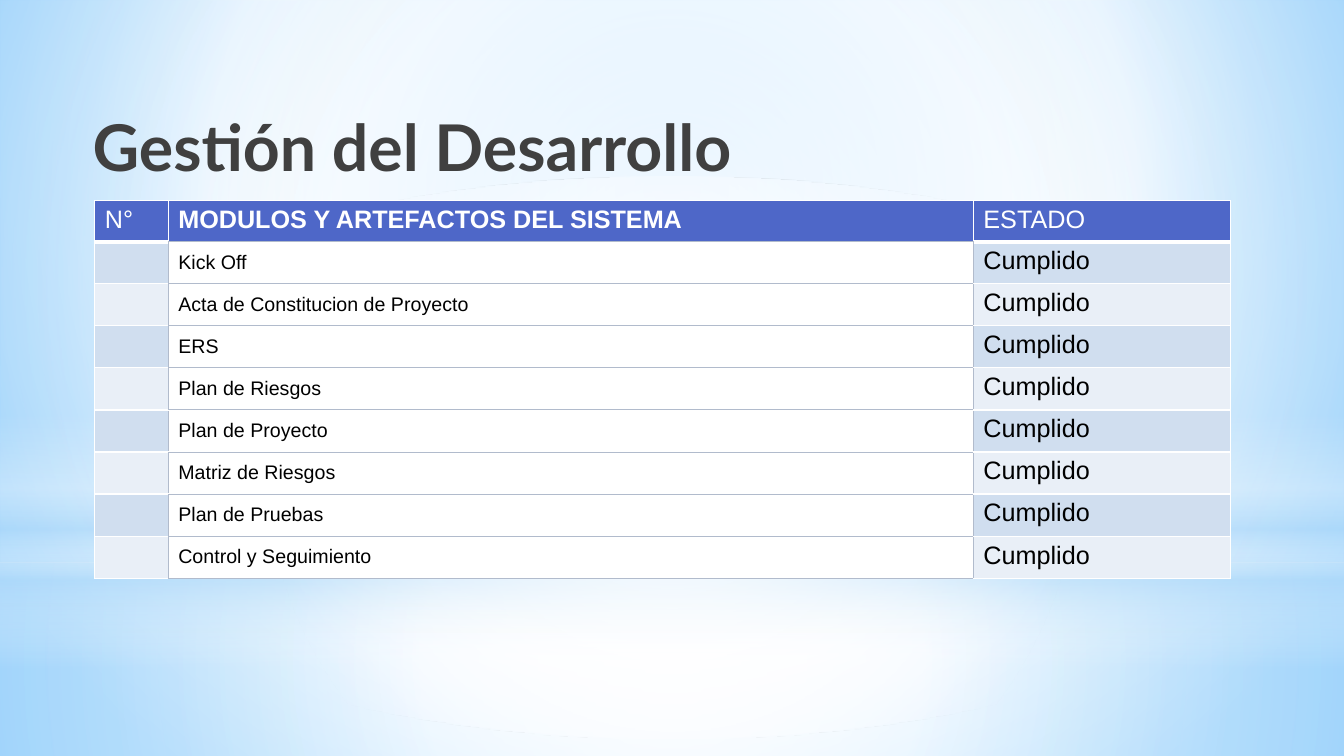
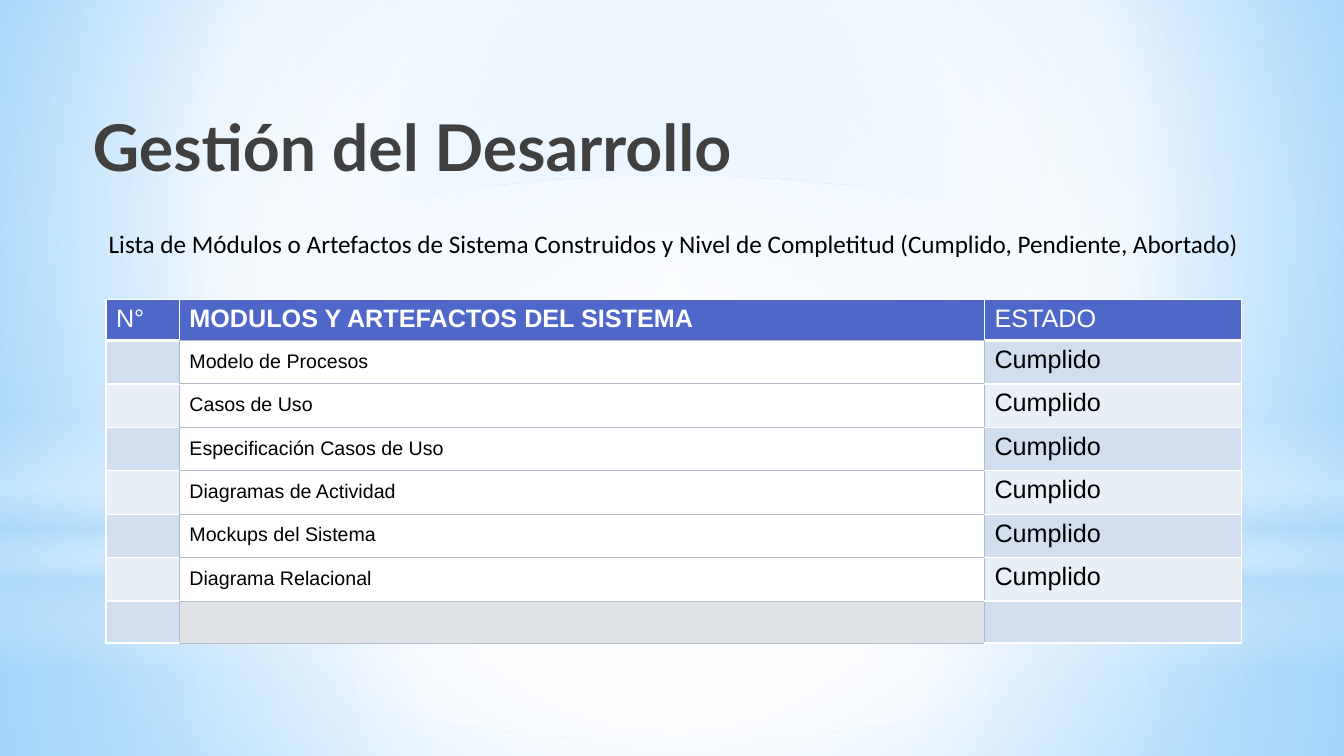
from pptx import Presentation
from pptx.dml.color import RGBColor
from pptx.enum.shapes import MSO_SHAPE as Preset
from pptx.enum.text import MSO_ANCHOR as Anchor, MSO_AUTO_SIZE as AutoSize, PP_ALIGN as Align
from pptx.oxml import parse_xml
from pptx.oxml.ns import nsdecls, qn
from pptx.util import Cm, Pt

WHITE, BLACK, TITLE_GRAY = "FFFFFF", "000000", "404040"
HEADER_BLUE, EMPTY_GRAY, RULE_GRAY = "4E67C8", "DFE3E8", "B1BBCC"
BANDS = ["D0DEEF", "E9EFF7"]
HAZE = "B4DCFA"
CENTER = (50, 50, 50, 50)
THIN_GRAY, THIN_WHITE, THICK_WHITE = (RULE_GRAY, 0.75), (WHITE, 1), (WHITE, 3)

rgb = RGBColor.from_string


def gradient(stops, focus=None):
    marks = "".join(
        f'<a:gs pos="{pos * 1000}"><a:srgbClr val="{color}">'
        f'<a:alpha val="{alpha * 1000}"/></a:srgbClr></a:gs>'
        for pos, color, alpha in stops)
    if focus:
        sides = " ".join(f'{side}="{value * 1000}"' for side, value in zip("ltrb", focus))
        direction = f'<a:path path="circle"><a:fillToRect {sides}/></a:path>'
    else:
        direction = '<a:lin ang="5400000" scaled="0"/>'
    return (f'<a:gradFill {nsdecls("a")} rotWithShape="1">'
            f'<a:gsLst>{marks}</a:gsLst>{direction}</a:gradFill>')


def set_borders(cell, left, right, top, bottom):
    properties = cell._tc.get_or_add_tcPr()
    edges = zip("LRTB", (left, right, top, bottom))
    for place, (side, (color, points)) in enumerate(edges):
        properties.insert(place, parse_xml(
            f'<a:ln{side} {nsdecls("a")} w="{Pt(points)}"><a:solidFill>'
            f'<a:srgbClr val="{color}"/></a:solidFill></a:ln{side}>'))


prs = Presentation()
prs.slide_width, prs.slide_height = Cm(33.87), Cm(19.05)
layout = prs.slide_layouts[5]

backdrop = gradient([(0, "9ED5FF", 100), (60, WHITE, 100), (100, "5BB9FF", 100)], (20, 10, 20, 60))
layout.element.cSld.insert(0, parse_xml(
    f'<p:bg {nsdecls("p")}><p:bgPr>{backdrop}<a:effectLst {nsdecls("a")}/></p:bgPr></p:bg>'))

layout_title = layout.placeholders[0]
layout_title.left, layout_title.top = Cm(2.08), Cm(1.96)
layout_title.width, layout_title.height = Cm(29.21), Cm(3.68)

glows = [
    (Preset.RECTANGLE, 14.17, 4.88,
     gradient([(0, WHITE, 91), (37, WHITE, 76), (100, HAZE, 79)], CENTER)),
    (Preset.RECTANGLE, 0, 14.17,
     gradient([(0, WHITE, 89), (48, WHITE, 62), (100, HAZE, 79)], CENTER)),
    (Preset.RECTANGLE, 10.46, 6.35,
     gradient([(0, WHITE, 0), (29, WHITE, 30), (45, HAZE, 40),
               (55, WHITE, 26), (65, HAZE, 60), (100, WHITE, 0)])),
    (Preset.OVAL, 4.45, 14.17, gradient([(0, WHITE, 100), (56, WHITE, 0)], CENTER)),
]

subtitle = ("Lista de Módulos o Artefactos de Sistema Construidos y Nivel de Completitud "
            "(Cumplido, Pendiente, Abortado)")
pages = [
    (None, 2.39, 5.05,
     ["Kick Off", "Acta de Constitucion de Proyecto", "ERS", "Plan de Riesgos",
      "Plan de Proyecto", "Matriz de Riesgos", "Plan de Pruebas", "Control y Seguimiento"]),
    (subtitle, 2.67, 7.54,
     ["Modelo de Procesos", "Casos de Uso", "Especificación Casos de Uso",
      "Diagramas de Actividad", "Mockups del Sistema", "Diagrama Relacional", ""]),
]
headings = ["N°", "MODULOS Y ARTEFACTOS DEL SISTEMA", "ESTADO"]
column_widths = [1.85, 20.29, 6.48]
header_height, row_height = 1.04, 1.06

for page_number, (intro, left, top, artifacts) in enumerate(pages):
    slide = prs.slides.add_slide(layout)

    if page_number == 0:
        for order, (preset, glow_top, glow_height, shade) in enumerate(glows):
            glow = slide.shapes.add_shape(preset, 0, Cm(glow_top), prs.slide_width, Cm(glow_height))
            glow.shadow.inherit = False
            glow.line.fill.background()
            glow.fill.solid()
            look = glow.element.spPr
            look.replace(look.find(qn("a:solidFill")), parse_xml(shade))
            glow.element.nvSpPr.cNvPr.set("id", str(20 + order))
            layout.shapes.element.insert(2 + order, glow.element)

    title = slide.shapes.title
    title.text_frame.text = "Gestión del Desarrollo"
    title.text_frame.vertical_anchor = Anchor.MIDDLE
    title.text_frame.auto_size = AutoSize.NONE
    heading = title.text_frame.paragraphs[0]
    heading.alignment = Align.LEFT
    heading.line_spacing = 0.9
    heading_font = heading.runs[0].font
    heading_font.name, heading_font.size, heading_font.bold = "Lato", Pt(46), True
    heading_font.color.rgb = rgb(TITLE_GRAY)

    if intro:
        intro_box = slide.shapes.add_textbox(Cm(2.49), Cm(5.64), Cm(29.31), Cm(1.02))
        intro_box.text_frame.word_wrap = True
        intro_box.text_frame.text = intro
        intro_font = intro_box.text_frame.paragraphs[0].runs[0].font
        intro_font.name, intro_font.size = "Calibri", Pt(18)
        intro_font.color.rgb = rgb(BLACK)

    rows = [headings] + [["", artifact, "Cumplido" if artifact else ""] for artifact in artifacts]
    status_table = slide.shapes.add_table(
        len(rows), len(headings), Cm(left), Cm(top), Cm(sum(column_widths)),
        Cm(header_height + row_height * len(artifacts))).table
    status_table.horz_banding = False
    for column, width in zip(status_table.columns, column_widths):
        column.width = Cm(width)

    for r, values in enumerate(rows):
        is_header = r == 0
        status_table.rows[r].height = Cm(header_height if is_header else row_height)
        for c, value in enumerate(values):
            is_artifact = c == 1
            if is_header:
                fill_color = HEADER_BLUE
            elif is_artifact:
                fill_color = WHITE if value else EMPTY_GRAY
            else:
                fill_color = BANDS[(r - 1) % 2]

            cell = status_table.cell(r, c)
            cell.fill.solid()
            cell.fill.fore_color.rgb = rgb(fill_color)

            inner = THIN_WHITE if is_header else THIN_GRAY
            level = THIN_GRAY if is_artifact else THIN_WHITE
            under_header = THIN_GRAY if is_artifact else THICK_WHITE
            set_borders(
                cell,
                left=THIN_WHITE if c == 0 else inner,
                right=THIN_WHITE if c == 2 else inner,
                top=THIN_WHITE if is_header else under_header if r == 1 else level,
                bottom=under_header if is_header else level)

            if value:
                is_body_artifact = is_artifact and not is_header
                if is_body_artifact:
                    cell.margin_top = cell.margin_bottom = Cm(0.25)
                cell.text_frame.text = value
                cell_font = cell.text_frame.paragraphs[0].runs[0].font
                cell_font.name = "Arial"
                cell_font.size = Pt(14 if is_body_artifact else 18)
                cell_font.bold = is_header and is_artifact
                cell_font.color.rgb = rgb(WHITE if is_header else BLACK)

prs.save("out.pptx")
